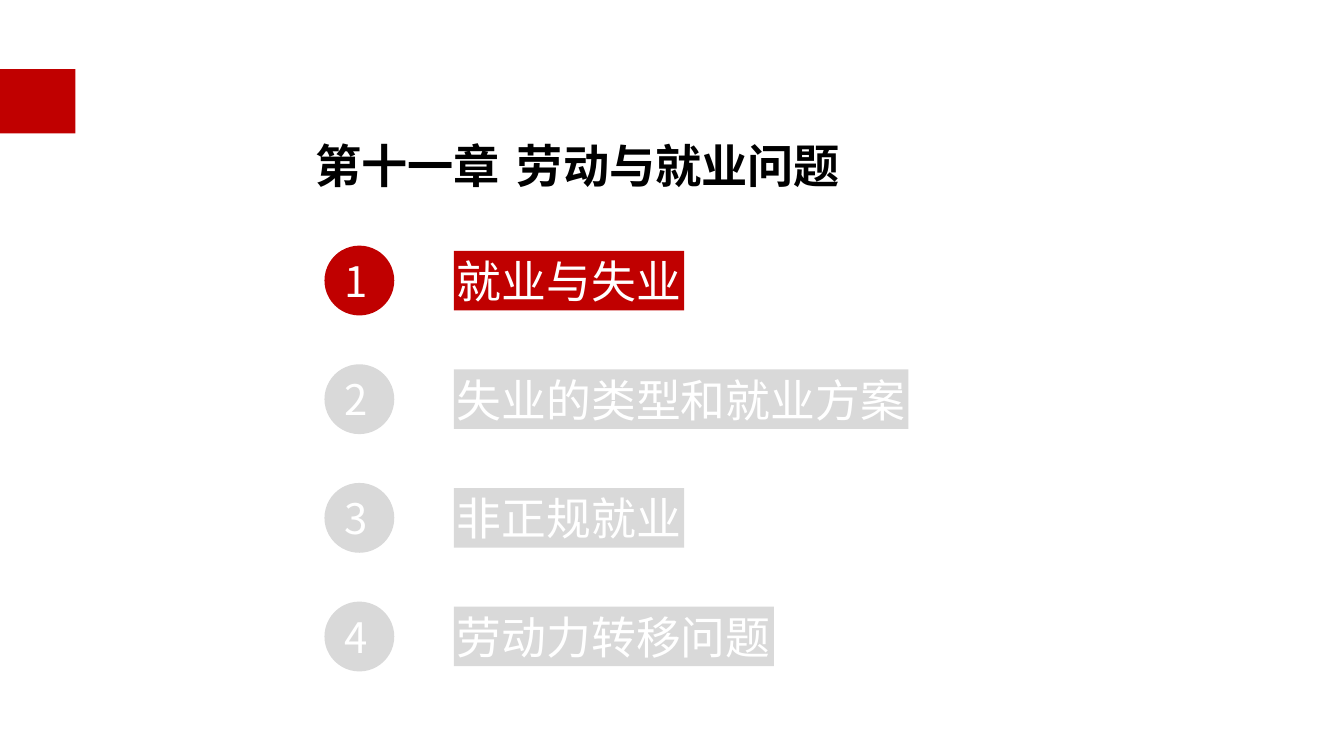
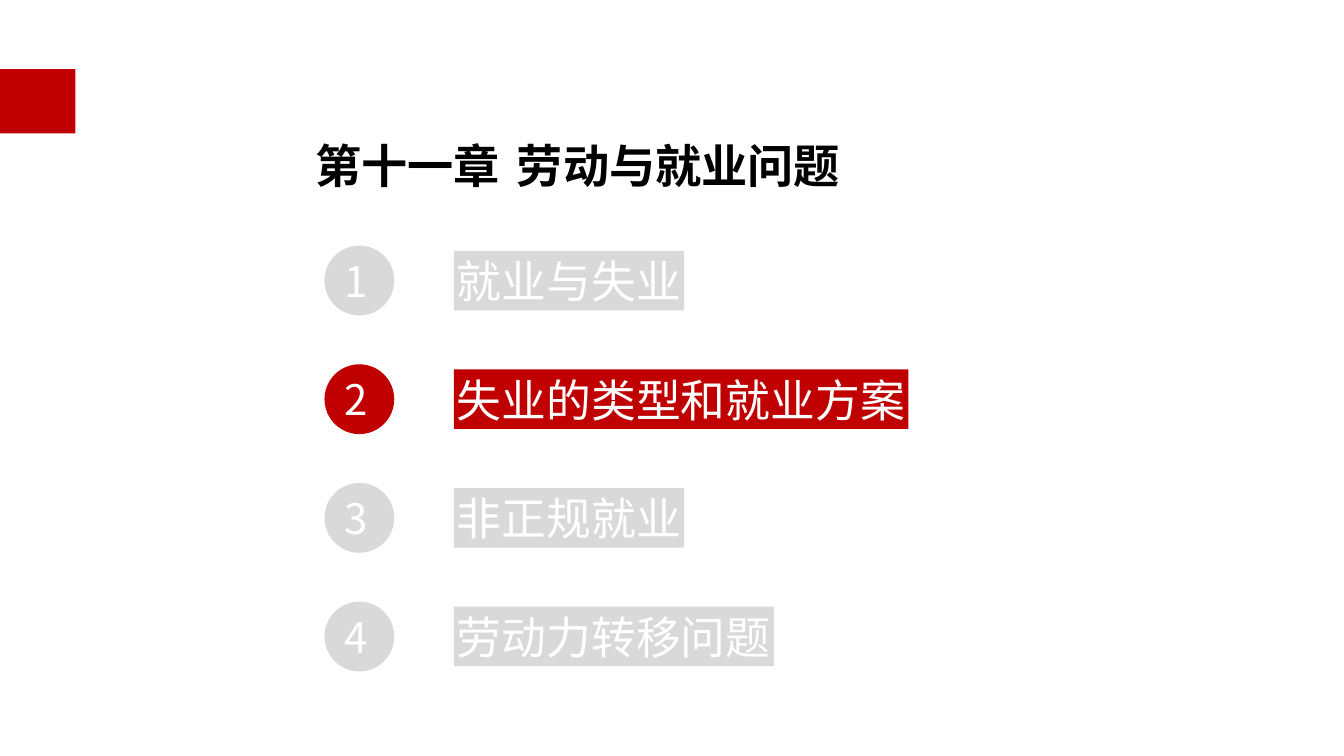
from dataclasses import dataclass

from lxml import etree
from pptx import Presentation
from pptx.dml.color import RGBColor
from pptx.enum import shapes, text
from pptx.oxml.ns import qn
from pptx.util import Cm, Length, Pt

RED = RGBColor(0xC0, 0x00, 0x00)
GRAY = RGBColor(0xD9, 0xD9, 0xD9)
BLACK = RGBColor(0x00, 0x00, 0x00)
WHITE = RGBColor(0xFF, 0xFF, 0xFF)

CJK_FONT = "Noto Sans CJK SC"
LABEL_FONT = "Calibri"

CHAPTER = "第十一章\t劳动与就业问题"
CHAPTER_TAB = Cm(5.96)

FIRST_ROW = Cm(6.19)
ROW_PITCH = Cm(2.99)
CIRCLE_LEFT = Cm(8.18)
CIRCLE_SIZE = Cm(1.76)
DIGIT_INDENT = Cm(0.24)
LABEL_LEFT = Cm(11.44)
LABEL_HEIGHT = Cm(1.5)
CHARACTER_WIDTH = Cm(1.13)
LABEL_MARGIN = Cm(0.08)


@dataclass(frozen=True)
class Section:
    number: int
    name: str

    @property
    def top(self) -> int:
        return FIRST_ROW + (self.number - 1) * ROW_PITCH

    @property
    def label_width(self) -> int:
        return len(self.name) * CHARACTER_WIDTH + 2 * LABEL_MARGIN


SECTIONS = [
    Section(number, name)
    for number, name in enumerate(
        ["就业与失业", "失业的类型和就业方案", "非正规就业", "劳动力转移问题"], start=1
    )
]


def add_filled(slide, kind, left: int, top: int, width: int, height: int, color: RGBColor):
    shape = slide.shapes.add_shape(kind, left, top, width, height)
    shape.shadow.inherit = False
    shape.fill.solid()
    shape.fill.fore_color.rgb = color
    shape.line.fill.background()
    return shape


def write(shape, words: str, font: str, size: Length, color: RGBColor,
          left: int = LABEL_MARGIN, edge: int = LABEL_MARGIN, wrap: bool = True):
    frame = shape.text_frame
    frame.text = words
    frame.auto_size = text.MSO_AUTO_SIZE.NONE
    frame.word_wrap = wrap
    frame.vertical_anchor = text.MSO_ANCHOR.MIDDLE
    frame.margin_left = left
    frame.margin_right = frame.margin_top = frame.margin_bottom = edge
    paragraph = frame.paragraphs[0]
    paragraph.alignment = text.PP_ALIGN.LEFT
    paragraph.font.name = font
    paragraph.font.size = size
    paragraph.font.color.rgb = color
    return paragraph


def add_band_to_layout(layout, slide) -> None:
    band = add_filled(slide, shapes.MSO_SHAPE.RECTANGLE, 0, Cm(1.74), Cm(1.9), Cm(1.62), RED)
    band.element.nvSpPr.cNvPr.set("id", "20")
    layout.shapes.element.append(band.element)


def set_chapter_title(slide) -> None:
    title = slide.shapes.title
    title.left, title.top, title.width, title.height = Cm(7.87), Cm(2.7), Cm(14.6), Cm(2.24)
    properties = title.element.txBody.p_lst[0].get_or_add_pPr()
    stops = etree.SubElement(properties, qn("a:tabLst"))
    etree.SubElement(stops, qn("a:tab"), pos=str(CHAPTER_TAB), algn="l")
    heading = write(title, CHAPTER, CJK_FONT, Pt(33), BLACK)
    heading.font.bold = True
    heading.line_spacing = 1.5


def add_section(slide, section: Section, color: RGBColor) -> None:
    circle = add_filled(slide, shapes.MSO_SHAPE.OVAL, CIRCLE_LEFT, section.top,
                        CIRCLE_SIZE, CIRCLE_SIZE, color)
    write(circle, str(section.number), CJK_FONT, Pt(30), WHITE, left=DIGIT_INDENT, edge=0)
    label_top = section.top + (CIRCLE_SIZE - LABEL_HEIGHT) // 2
    label = add_filled(slide, shapes.MSO_SHAPE.RECTANGLE, LABEL_LEFT, label_top,
                       section.label_width, LABEL_HEIGHT, color)
    write(label, section.name, LABEL_FONT, Pt(32), WHITE, wrap=False)


def add_agenda(slide, current: int) -> None:
    set_chapter_title(slide)
    for section in SECTIONS:
        add_section(slide, section, RED if section.number == current else GRAY)


def main() -> None:
    deck = Presentation()
    deck.slide_width, deck.slide_height = Cm(33.88), Cm(19.05)
    title_only = deck.slide_layouts[5]
    agendas = [deck.slides.add_slide(title_only) for _ in range(2)]
    add_band_to_layout(title_only, agendas[0])
    for current, slide in enumerate(agendas, start=1):
        add_agenda(slide, current)
    deck.save("out.pptx")


if __name__ == "__main__":
    main()
